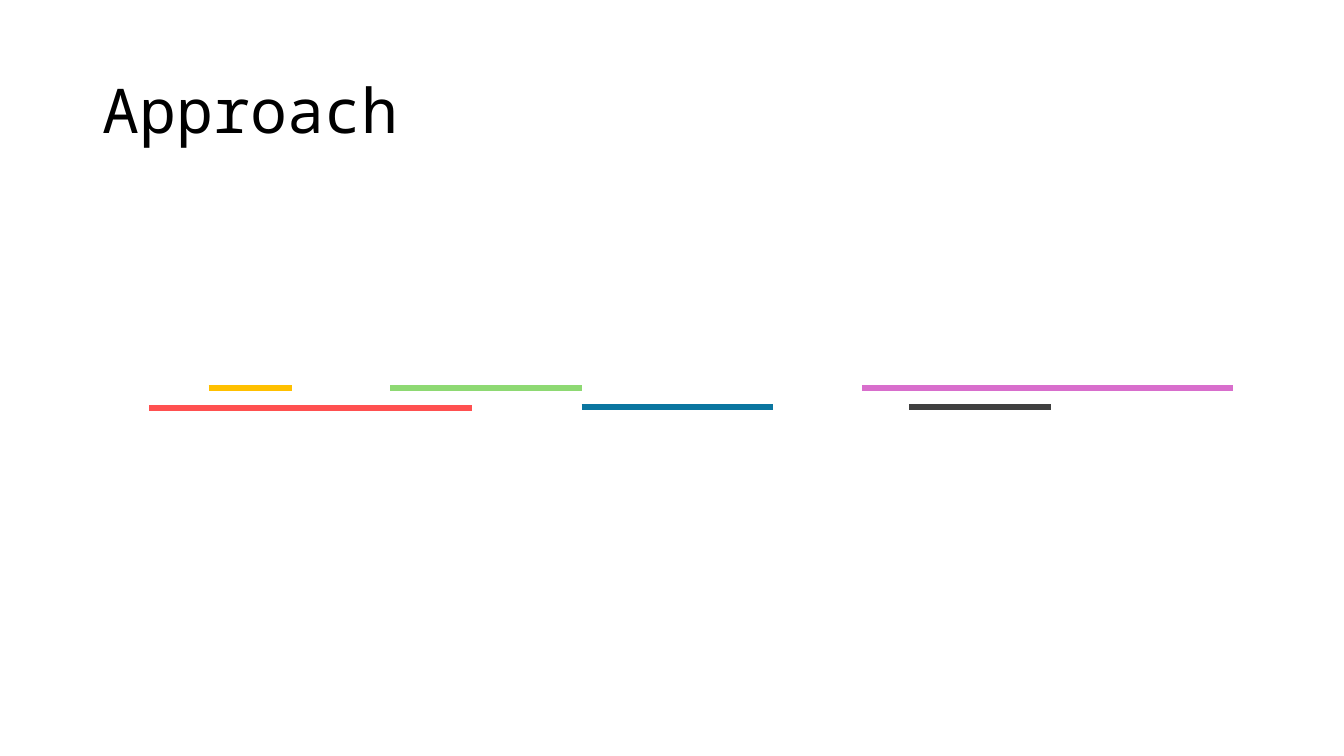
"""Build the Approach slide: a title above six coloured bars on two rows."""
from lxml.etree import SubElement
from pptx import Presentation
from pptx.dml.color import RGBColor
from pptx.enum.shapes import MSO_CONNECTOR
from pptx.enum.text import MSO_ANCHOR
from pptx.oxml.ns import qn
from pptx.util import Inches, Pt

COLORS = {
    "background": "FFFFFF",
    "title": "000000",
    "red": "FF5050",
    "green": "8ED973",
    "blue": "0B76A0",
    "violet": "D86ECC",
    "gray": "404040",
    "yellow": "FFC000",
}
UPPER_ROW = 3.85
LOWER_ROW = 4.04

presentation = Presentation()
presentation.slide_width = Inches(13.33)
presentation.slide_height = Inches(7.5)
slide = presentation.slides.add_slide(presentation.slide_layouts[6])
slide.background.fill.solid()
slide.background.fill.fore_color.rgb = RGBColor.from_string(COLORS["background"])


def add_text(text, *, left, top, width, height, size, font, color, line_spacing):
    text_box = slide.shapes.add_textbox(
        Inches(left), Inches(top), Inches(width), Inches(height)
    )
    text_frame = text_box.text_frame
    text_frame.word_wrap = True
    text_frame.vertical_anchor = MSO_ANCHOR.MIDDLE
    paragraph = text_frame.paragraphs[0]
    paragraph.line_spacing = line_spacing
    run = paragraph.add_run()
    run.text = text
    run.font.size = Pt(size)
    run.font.name = font
    run.font.color.rgb = RGBColor.from_string(COLORS[color])


add_text("Approach", left=0.92, top=0.4, width=11.5, height=1.45,
         size=44, font="Noto Sans Mono", color="title", line_spacing=0.9)

bars = [
    ("red", 1.48, 4.68, 4.05),
    ("green", 3.87, 5.77, UPPER_ROW),
    ("blue", 5.77, 7.67, LOWER_ROW),
    ("violet", 8.55, 12.23, UPPER_ROW),
    ("gray", 9.02, 10.42, LOWER_ROW),
    ("yellow", 2.07, 2.9, UPPER_ROW),
]
for color, start, end, row in bars:
    bar = slide.shapes.add_connector(
        MSO_CONNECTOR.STRAIGHT, Inches(start), Inches(row), Inches(end), Inches(row)
    )
    bar.line.color.rgb = RGBColor.from_string(COLORS[color])
    bar.line.width = Pt(4.5)
    SubElement(bar.element.spPr, qn("a:effectLst"))

presentation.save("out.pptx")
